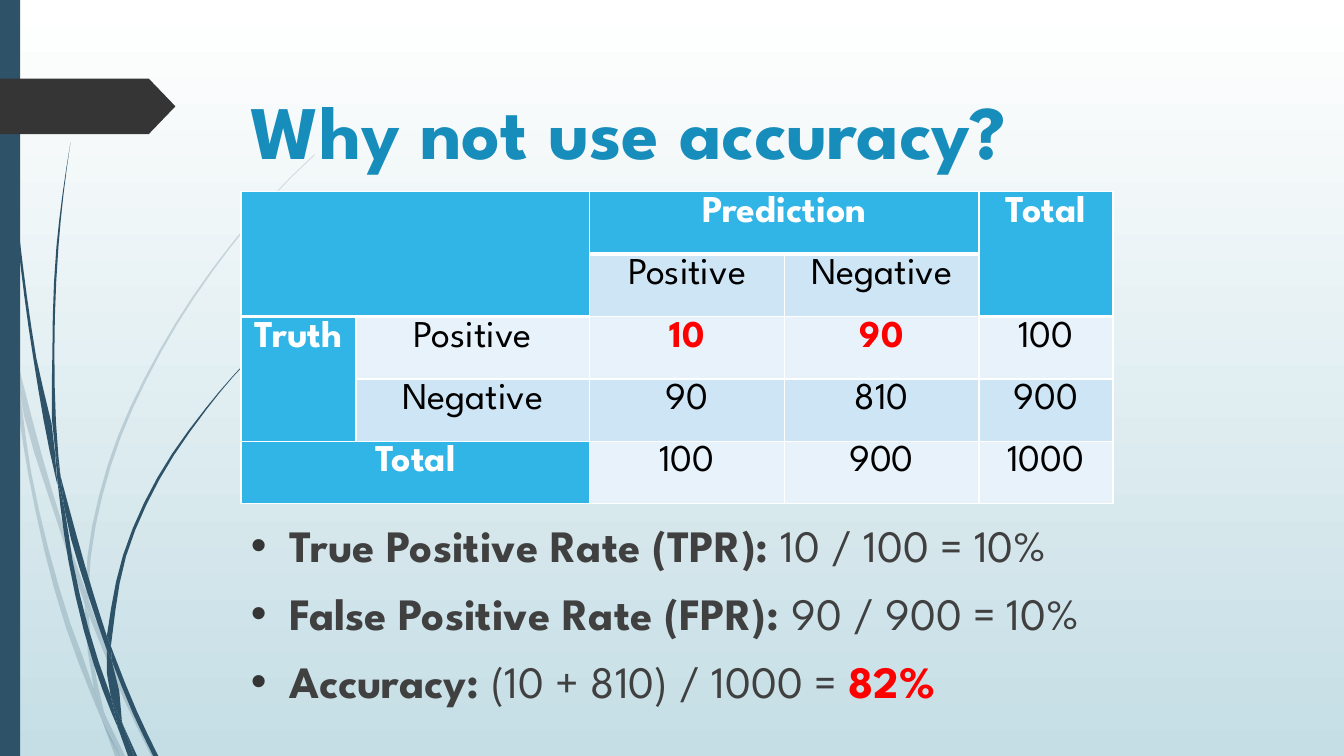
from lxml import etree
from pptx import Presentation
from pptx import util as u
from pptx.dml.color import RGBColor
from pptx.enum import shapes, text
from pptx.oxml.ns import qn

FONT = "League Spartan"
COLORS = {
    "sky_top": "FFFFFF", "sky_bottom": "C5DEE5", "navy": "2E5369", "tag": "353535",
    "title": "178DBB", "body": "404040", "alert": "FF0000", "header": "31B4E6",
    "band_dark": "CEE5F5", "band_light": "E8F2FA", "white": "FFFFFF", "black": "000000",
}

FAINT_BLADES = [
    ([(.11, 3.5), (.09, 3.22), (0, 2.82)], [(0, 2.99), (.1, 3.44), (.11, 3.5)]),
    ([(.14, 3.45), (.17, 3.76), (.58, 5.22), (.84, 5.99)], [(.85, 5.86), (.62, 5.2), (.14, 3.45)]),
    ([(1.55, 7.5), (1.27, 6.92), (.92, 6.07), (.88, 5.96)], [(.88, 6.1), (1.23, 6.94), (1.5, 7.5)]),
    ([(1.19, 7.5), (1.24, 7.5)], [(1.05, 7.11), (1.19, 7.5)]),
    ([(.99, 7.07), (.93, 6.83), (.7, 6.19), (.31, 4.69), (.17, 3.76), (.11, 3.5)],
     [(.11, 3.5), (.28, 4.7), (.65, 6.21), (.92, 6.93), (1.01, 7.14)]),
    ([(.84, 5.99), (.87, 6.46), (.93, 6.83), (.96, 6.92), (1.05, 7.11)],
     [(1.03, 7.06), (.91, 6.46), (.88, 6.1), (.84, 5.99)]),
    ([(.88, 5.96), (.88, 5.84), (1.1, 4.62), (1.6, 3.49), (2.29, 2.45), (2.68, 1.98), (2.9, 1.75), (3.12, 1.54)],
     [(3.12, 1.53), (2.89, 1.75), (2.68, 1.97), (2.28, 2.44), (1.58, 3.48), (1.07, 4.61), (.85, 5.84), (.85, 5.86)]),
    ([(1.01, 7.14), (1.14, 7.5)], [(1.19, 7.5), (1.01, 7.14)]),
    ([(.88, 6.1), (.88, 5.96)], [(.85, 5.86), (.84, 5.99), (.88, 6.08)]),
    ([(1.05, 7.11), (.96, 6.92), (.93, 6.83)], [(.99, 7.07), (1.01, 7.14), (1.19, 7.5)]),
]
SOLID_BLADES = [
    ([(.03, 0), (.04, .48), (.07, 1.1), (.17, 2.33), (.33, 3.55), (.56, 4.77), (.57, 4.81)],
     [(.55, 4.57), (.55, 4.53), (.36, 3.55), (.19, 2.32), (.08, 1.09), (.05, .48), (.04, 0)]),
    ([(.6, 4.72), (.64, 5.05), (.88, 5.92), (1.06, 6.45)], [(1.06, 6.31), (.93, 5.9), (.6, 4.72)]),
    ([(1.57, 7.5), (1.36, 7.06), (1.13, 6.49), (1.1, 6.41)], [(1.11, 6.56), (1.32, 7.08), (1.52, 7.5)]),
    ([(1.16, 7.17), (1.1, 6.91), (.98, 6.57), (.72, 5.56), (.64, 5.05), (.57, 4.77)],
     [(.57, 4.77), (.68, 5.57), (.93, 6.59), (1.11, 7.08), (1.17, 7.22)]),
    ([(.6, 4.72), (.58, 4.53), (.54, 3.49), (.58, 2.45), (.63, 1.93), (.7, 1.41)],
     [(.7, 1.41), (.62, 1.93), (.56, 2.45), (.52, 3.49), (.55, 4.49), (.6, 4.72)]),
    ([(1.33, 7.5), (1.36, 7.5)], [(1.22, 7.19), (1.33, 7.5)]),
    ([(.57, 4.77), (.64, 5.05)], [(.6, 4.72), (.55, 4.49), (.55, 4.53)]),
    ([(1.1, 6.41), (1.11, 6.33), (1.25, 5.52), (1.58, 4.76), (2.05, 4.06), (2.31, 3.74), (2.45, 3.59), (2.61, 3.44)],
     [(2.6, 3.44), (2.45, 3.58), (2.31, 3.73), (2.04, 4.05), (1.56, 4.74), (1.22, 5.51), (1.06, 6.31)]),
    ([(1.17, 7.22), (1.27, 7.5)], [(1.31, 7.5), (1.17, 7.22)]),
    ([(1.06, 6.45), (1.1, 6.91), (1.16, 7.06), (1.22, 7.19)], [(1.21, 7.16), (1.11, 6.56), (1.06, 6.45)]),
    ([(1.06, 6.45), (1.11, 6.56)], [(1.1, 6.41), (1.06, 6.31)]),
    ([(1.22, 7.19), (1.16, 7.06), (1.1, 6.91)], [(1.16, 7.17), (1.17, 7.22), (1.3, 7.5), (1.33, 7.5)]),
]

CONFUSION = [
    ["", "", "Prediction", "", "Total"],
    ["", "", "Positive", "Negative", ""],
    ["Truth", "Positive", "10", "90", "100"],
    ["", "Negative", "90", "810", "900"],
    ["Total", "", "100", "900", "1000"],
]
HEADERS = {"", "Prediction", "Total", "Truth"}
COLUMN_WIDTHS = [1.14, 2.32, 1.93, 1.93, 1.33]
MERGES = [((0, 0), (1, 1)), ((0, 2), (0, 3)), ((0, 4), (1, 4)), ((2, 0), (3, 0)), ((4, 0), (4, 1))]
RATES = [
    [("True Positive Rate (TPR): ", "body", True), ("10 / 100 = 10%", "body", False)],
    [("False Positive Rate (FPR): ", "body", True), ("90 / 900 = 10%", "body", False)],
    [("Accuracy: ", "body", True), ("(10 + 810) / 1000 = ", "body", False), ("82%", "alert", True)],
]


def rgb(name):
    return RGBColor.from_string(COLORS[name])


def paint(shape, color):
    shape.shadow.inherit = False
    shape.fill.solid()
    shape.fill.fore_color.rgb = rgb(color)
    shape.line.fill.background()


def style(run, size, color, bold):
    run.font.name, run.font.size, run.font.bold = FONT, u.Pt(size), bold
    run.font.color.rgb = rgb(color)


def smooth(edge):
    knots = [complex(*knot) for knot in edge]
    gaps = [abs(b - a) for a, b in zip(knots, knots[1:])]
    slopes = [(b - a) / gap for a, b, gap in zip(knots, knots[1:], gaps)]
    inner = [(gaps[i + 1] * slopes[i] + gaps[i] * slopes[i + 1]) / (gaps[i] + gaps[i + 1])
             for i in range(len(gaps) - 1)]
    if inner:
        tangents = [1.5 * slopes[0] - .5 * inner[0], *inner, 1.5 * slopes[-1] - .5 * inner[-1]]
    else:
        tangents = slopes * 2
    curve = [knots[0]]
    for i, gap in enumerate(gaps):
        steps = int(gap * 2.5) + 1
        for t in (step / steps for step in range(1, steps + 1)):
            curve.append((2 * t**3 - 3 * t**2 + 1) * knots[i] + (3 * t**2 - 2 * t**3) * knots[i + 1]
                         + gap * ((t**3 - 2 * t**2 + t) * tangents[i] + (t**3 - t**2) * tangents[i + 1]))
    return curve


def add_grass(slide, left, top, blades, opacity):
    tuft = slide.shapes.add_group_shape()
    for edges in blades:
        outline = [(u.Inches(left + max(p.real, 0)), u.Inches(top + p.imag))
                   for edge in edges for p in smooth(edge)]
        builder = tuft.shapes.build_freeform(*outline[0])
        builder.add_line_segments(outline[1:], close=True)
        blade = builder.convert_to_shape()
        paint(blade, "navy")
        if opacity < 100:
            tint = blade.fill._xPr.find(".//" + qn("a:srgbClr"))
            etree.SubElement(tint, qn("a:alpha")).set("val", str(opacity * 1000))


def add_side(slide, left, top, height):
    add_grass(slide, left, top, FAINT_BLADES, 20)
    add_grass(slide, left, top, SOLID_BLADES, 100)
    bar = slide.shapes.add_shape(shapes.MSO_SHAPE.RECTANGLE, u.Inches(left), u.Inches(top),
                                 u.Inches(.2), u.Inches(height))
    paint(bar, "navy")
    tag = slide.shapes.add_shape(shapes.MSO_SHAPE.PENTAGON, u.Inches(left), u.Inches(top + .78),
                                 u.Inches(1.74), u.Inches(.55))
    tag.adjustments[0] = .48
    paint(tag, "tag")


def add_borders(cell, bottom):
    properties = cell._tc.get_or_add_tcPr()
    for i, (side, width) in enumerate([("L", 1), ("R", 1), ("T", 1), ("B", bottom)]):
        line = etree.Element(qn("a:ln" + side), w=str(u.Pt(width)))
        fill = etree.SubElement(line, qn("a:solidFill"))
        etree.SubElement(fill, qn("a:srgbClr"), val=COLORS["white"])
        properties.insert(i, line)


def add_confusion_table(slide, left, top, width, height):
    table = slide.shapes.add_table(5, 5, *map(u.Inches, (left, top, width, height))).table
    for column, size in zip(table.columns, COLUMN_WIDTHS):
        column.width = u.Inches(size)
    for r, row in enumerate(CONFUSION):
        for c, label in enumerate(row):
            cell = table.cell(r, c)
            header = label in HEADERS
            cell.fill.solid()
            cell.fill.fore_color.rgb = rgb("header" if header else "band_light" if r % 2 == 0 else "band_dark")
            cell.margin_left = cell.margin_right = u.Inches(.08)
            cell.margin_top = cell.margin_bottom = u.Inches(.04)
            add_borders(cell, 3 if header and r < 2 else 1)
            if label:
                line = cell.text_frame.paragraphs[0]
                line.text = label
                line.alignment = text.PP_ALIGN.CENTER
                missed = r == 2 and c in (2, 3)
                color = "white" if header else "alert" if missed else "black"
                style(line.runs[0], 27, color, header or missed)
    for start, end in MERGES:
        table.cell(*start).merge(table.cell(*end))


def add_title(slide, left, top, width, height):
    frame = slide.shapes.add_textbox(*map(u.Inches, (left, top, width, height))).text_frame
    frame.word_wrap = True
    frame.vertical_anchor = text.MSO_ANCHOR.MIDDLE
    frame.text = "Why not use accuracy?"
    style(frame.paragraphs[0].runs[0], 54, "title", True)


def add_rates(slide, left, top, width, height):
    frame = slide.shapes.add_textbox(*map(u.Inches, (left, top, width, height))).text_frame
    frame.word_wrap = True
    for i, parts in enumerate(RATES):
        rate = frame.add_paragraph() if i else frame.paragraphs[0]
        rate.space_before = u.Pt(10)
        properties = rate._p.get_or_add_pPr()
        properties.set("marL", str(u.Inches(.38)))
        properties.set("indent", str(u.Inches(-.38)))
        bullet_color = etree.SubElement(properties, qn("a:buClr"))
        etree.SubElement(bullet_color, qn("a:srgbClr"), val=COLORS["tag"])
        etree.SubElement(properties, qn("a:buFont"), typeface="Arial")
        etree.SubElement(properties, qn("a:buChar"), char="•")
        for words, color, bold in parts:
            run = rate.add_run()
            run.text = words
            style(run, 32, color, bold)


def main():
    deck = Presentation()
    deck.slide_width, deck.slide_height = u.Inches(13.33), u.Inches(7.5)
    slide = deck.slides.add_slide(deck.slide_layouts[6])
    sky = slide.background.fill
    sky.gradient()
    sky.gradient_angle = 270
    for stop, position, color in zip(sky.gradient_stops, (0, 1), ("sky_top", "sky_bottom")):
        stop.position = position
        stop.color.rgb = rgb(color)
    add_side(slide, 0, 0, 7.5)
    add_confusion_table(slide, 2.39, 1.9, 8.65, 3.1)
    add_title(slide, 2.39, .68, 9.75, 1.2)
    add_rates(slide, 2.39, 5.09, 9.87, 2.28)
    deck.save("out.pptx")


if __name__ == "__main__":
    main()
